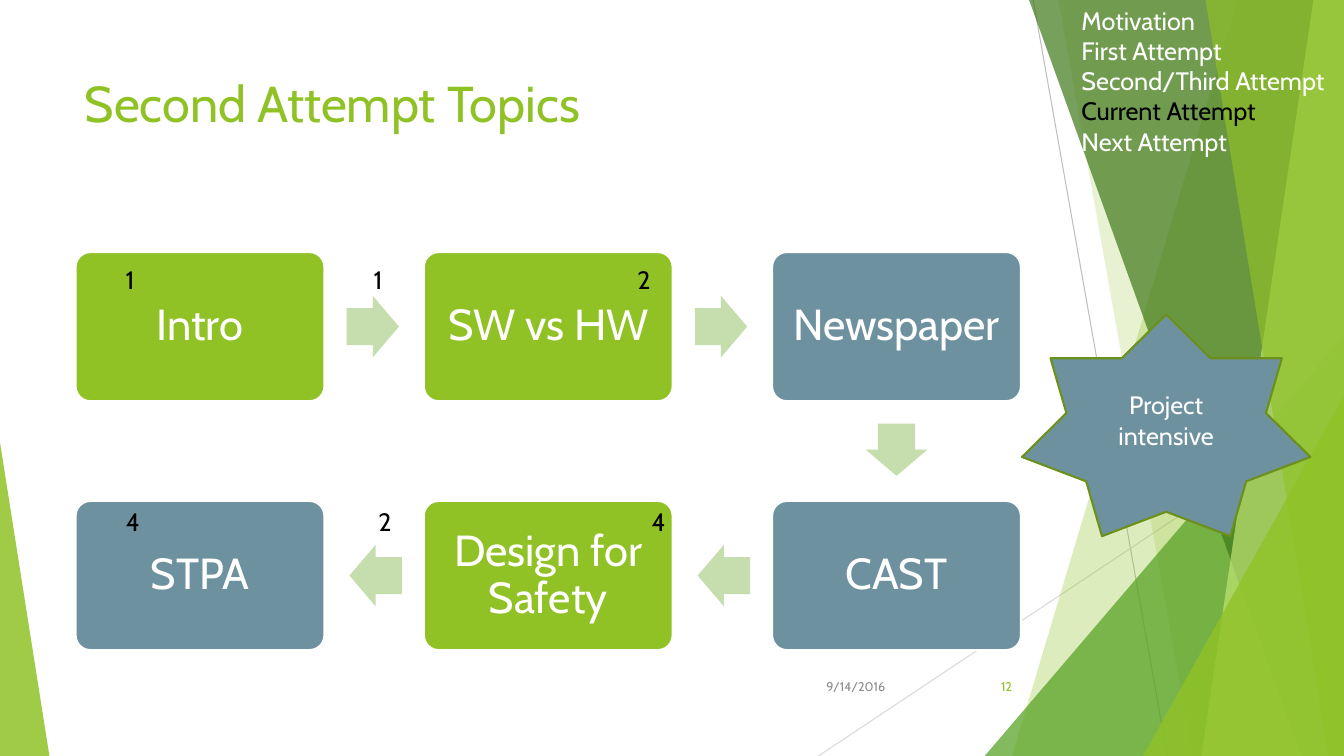
from dataclasses import dataclass

from lxml import etree
from pptx import Presentation
from pptx.dml.color import RGBColor
from pptx.enum.shapes import MSO_CONNECTOR, MSO_SHAPE
from pptx.enum.text import MSO_ANCHOR, PP_ALIGN
from pptx.oxml.ns import qn
from pptx.util import Pt

STRAIGHT = MSO_CONNECTOR.STRAIGHT
ROUNDED = MSO_SHAPE.ROUNDED_RECTANGLE
TRIANGLE = MSO_SHAPE.ISOSCELES_TRIANGLE
ARROW = MSO_SHAPE.RIGHT_ARROW
STAR = MSO_SHAPE.STAR_7_POINT
LEFT, CENTER, RIGHT = PP_ALIGN.LEFT, PP_ALIGN.CENTER, PP_ALIGN.RIGHT
TOP, MIDDLE = MSO_ANCHOR.TOP, MSO_ANCHOR.MIDDLE


@dataclass(frozen=True)
class Theme:
    font: str = "Cabin"
    green: str = "90C226"
    slate: str = "6E91A0"
    arrow: str = "C6DDAD"
    star_line: str = "6B901C"
    white: str = "FFFFFF"
    black: str = "000000"
    gray: str = "8C8C8C"
    leaf: str = "54A021"
    forest: str = "3F7819"
    lime: str = "C0E474"
    title_size: float = 36
    step_size: float = 31
    body_size: float = 18
    footer_size: float = 9


THEME = Theme()
WIDTH, HEIGHT = 960, 540

TITLE = "Second Attempt Topics"
# label, column, row, fill: in the order of the flow
STEPS = [
    ("Intro", 0, 0, THEME.green),
    ("SW vs HW", 1, 0, THEME.green),
    ("Newspaper", 2, 0, THEME.slate),
    ("CAST", 2, 1, THEME.slate),
    ("Design for Safety", 1, 1, THEME.green),
    ("STPA", 0, 1, THEME.slate),
]
# number, centre x, centre y
NUMBERS = [
    ("1", 93, 199.5), ("1", 270, 199.5), ("2", 460, 199.5),
    ("4", 95, 372.5), ("2", 275, 372.5), ("4", 470.5, 372.5),
]
AGENDA = ["Motivation", "First Attempt", "Second/Third Attempt",
          "Current Attempt", "Next Attempt"]
CURRENT = "Current Attempt"
# text, left, width, colour
FOOTERS = [("9/14/2016", 567.4, 72, THEME.gray), ("12", 676, 54, THEME.green)]

GUIDE_LINES = [((738, 0), (833.8, HEIGHT), "BFBFBF"),
               ((WIDTH, 290.2), (584.6, HEIGHT), "D9D9D9")]
# Bands run to the right edge: top x, bottom x, colour, opacity.
# Triangles: left, top, width, apex position, colour, opacity.
BACKDROP = [
    ("band", (884.2, 722.9, THEME.green, 30)),
    ("band", (756, 851.8, THEME.green, 20)),
    ("triangle", (703.4, 239.8, 256.6, 1, THEME.leaf, 72)),
    ("band", (735.1, 929.5, THEME.forest, 70)),
    ("band", (938.2, 858.2, THEME.lime, 70)),
    ("band", (861.1, 949, THEME.green, 65)),
    ("triangle", (816.5, 283, 143.5, 1, THEME.green, 80)),
    ("triangle", (0, 316.1, 35.3, 0, THEME.green, 85)),
]

STEP_LEFT, STEP_TOP = 54, 180
STEP_WIDTH, STEP_HEIGHT = 177.8, 106.6
PITCH_X, PITCH_Y = 248.75, 177.8
ARROW_LENGTH, ARROW_WIDTH = 37.4, 43.9
TURN = {(1, 0): 0, (0, 1): 90, (-1, 0): 180}


def points(*values):
    return [Pt(value) for value in values]


def paint(shape, fill, line=None, opacity=100):
    shape.shadow.inherit = False
    shape.fill.solid()
    shape.fill.fore_color.rgb = RGBColor.from_string(fill)
    if opacity < 100:
        color = shape.element.spPr.find(qn("a:solidFill"))[0]
        etree.SubElement(color, qn("a:alpha"), val=str(opacity * 1000))
    if line:
        shape.line.color.rgb = RGBColor.from_string(line)
        shape.line.width = Pt(1.5)
    else:
        shape.line.fill.background()


def write(shape, text, size, color, align=LEFT, anchor=TOP):
    frame = shape.text_frame
    frame.text = text
    frame.word_wrap = True
    frame.vertical_anchor = anchor
    for para in frame.paragraphs:
        para.alignment = align
        for span in para.runs:
            span.font.name = THEME.font
            span.font.size = Pt(size)
            span.font.color.rgb = RGBColor.from_string(color)
    return frame


def add_label(page, box, *style):
    return write(page.shapes.add_textbox(*points(*box)), *style)


def add_backdrop(page):
    for start, end, color in GUIDE_LINES:
        line = page.shapes.add_connector(STRAIGHT, *points(*start, *end))
        line.line.color.rgb = RGBColor.from_string(color)
        line.line.width = Pt(0.75)
        etree.SubElement(line.element.spPr, qn("a:effectLst"))
    for kind, values in BACKDROP:
        *geometry, color, opacity = values
        if kind == "band":
            top_x, bottom_x = geometry
            builder = page.shapes.build_freeform(*points(top_x, 0))
            corners = [(WIDTH, 0), (WIDTH, HEIGHT), (bottom_x, HEIGHT)]
            builder.add_line_segments([points(*corner) for corner in corners])
            shape = builder.convert_to_shape()
        else:
            left, top, width, apex = geometry
            box = points(left, top, width, HEIGHT - top)
            shape = page.shapes.add_shape(TRIANGLE, *box)
            shape.adjustments[0] = apex
        paint(shape, color, opacity=opacity)


def step_center(column, row):
    return (STEP_LEFT + column * PITCH_X + STEP_WIDTH / 2,
            STEP_TOP + row * PITCH_Y + STEP_HEIGHT / 2)


def add_step(page, label, column, row, fill):
    x, y = step_center(column, row)
    box = points(x - STEP_WIDTH / 2, y - STEP_HEIGHT / 2, STEP_WIDTH, STEP_HEIGHT)
    shape = page.shapes.add_shape(ROUNDED, *box)
    shape.adjustments[0] = 0.1
    paint(shape, fill, THEME.white)
    frame = write(shape, label, THEME.step_size, THEME.white, CENTER, MIDDLE)
    frame.margin_left = frame.margin_right = Pt(9)
    frame.paragraphs[0].line_spacing = 0.9


def add_arrow(page, start, end):
    """Point from one (column, row) to the next, just short of the gap's middle."""
    direction = (end[0] - start[0], end[1] - start[1])
    x, y = [(a + b) / 2 - step for a, b, step in
            zip(step_center(*start), step_center(*end), direction)]
    box = points(x - ARROW_LENGTH / 2, y - ARROW_WIDTH / 2, ARROW_LENGTH, ARROW_WIDTH)
    shape = page.shapes.add_shape(ARROW, *box)
    shape.adjustments[0] = 0.6
    shape.adjustments[1] = 0.5
    shape.rotation = TURN[direction]
    paint(shape, THEME.arrow)


def main():
    deck = Presentation()
    deck.slide_width, deck.slide_height = points(WIDTH, HEIGHT)
    page = deck.slides.add_slide(deck.slide_layouts.get_by_name("Title Only"))

    title = page.shapes.title
    title.left, title.top, title.width, title.height = points(53.3, 48, 677, 103.7)
    write(title, TITLE, THEME.title_size, THEME.green)
    add_backdrop(page)

    for text, left, width, color in FOOTERS:
        add_label(page, (left, 475.9, width, 28.8), text,
                  THEME.footer_size, color, RIGHT, MIDDLE)

    for step in STEPS:
        add_step(page, *step)
    for current, following in zip(STEPS, STEPS[1:]):
        add_arrow(page, current[1:3], following[1:3])

    star = page.shapes.add_shape(STAR, *points(730, 224.6, 206, 158.4))
    paint(star, THEME.slate, THEME.star_line)
    write(star, "Project intensive", THEME.body_size, THEME.white, CENTER, MIDDLE)

    for number, x, y in NUMBERS:
        add_label(page, (x - 15, y - 14, 30, 28), number,
                  THEME.body_size, THEME.black, CENTER, MIDDLE)

    agenda = add_label(page, (765.4, 0, 196.6, 118.8), "\n".join(AGENDA),
                       THEME.body_size, THEME.white)
    marked = agenda.paragraphs[AGENDA.index(CURRENT)].runs[0]
    marked.font.color.rgb = RGBColor.from_string(THEME.black)

    deck.save("out.pptx")


if __name__ == "__main__":
    main()
